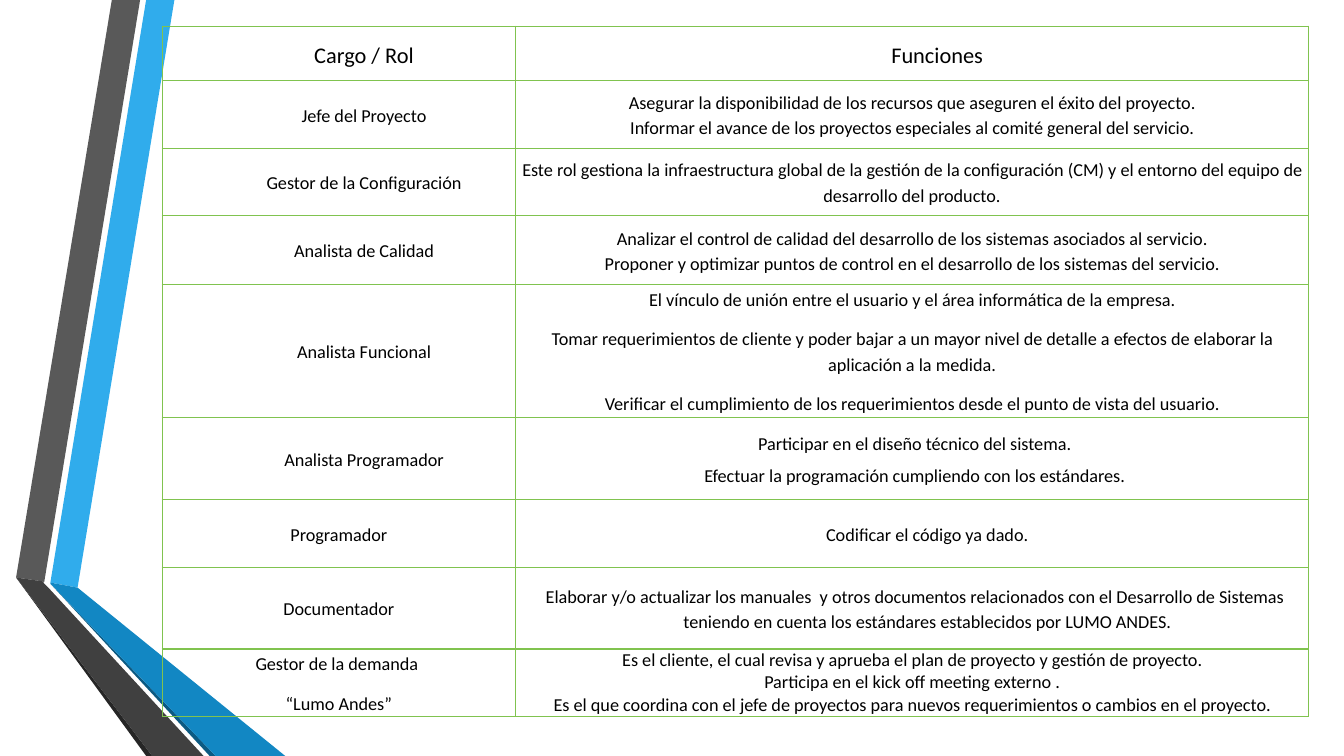
"""Build the slide that lists each project role with its functions."""
from lxml.etree import SubElement, fromstring
from pptx import Presentation
from pptx.dml.color import RGBColor
from pptx.enum.text import MSO_ANCHOR, PP_ALIGN
from pptx.oxml.ns import nsdecls
from pptx.util import Inches, Pt

BORDER = "80C34F"
TEXT = "000000"
RIBBONS = [
    ("30ACEC", [(0.5, 5.78), (0.77, 5.83), (1.73, 0), (1.45, 0)]),
    ("595959", [(1.39, 0), (1.11, 0), (0.16, 5.73), (0.44, 5.77)]),
    ("262626", [(0.16, 5.73), (1.45, 7.5), (1.51, 7.5)]),
    ("0C5A82", [(0.5, 5.79), (2.08, 7.5), (2.14, 7.5)]),
    ("1287C3", [(0.5, 5.79), (2.14, 7.5), (2.83, 7.5), (0.77, 5.83), (0.5, 5.78)]),
    ("404040", [(2.02, 7.5), (0.48, 5.83), (0.43, 5.78), (0.44, 5.77), (0.16, 5.73), (1.51, 7.5)]),
]

TABLE_LEFT, TABLE_TOP = 1.61, 0.26
COLUMN_WIDTHS = [3.5, 7.87]

HEADING = dict(size=16, left=0.5, before=2.4, after=2.4)
ROLE = dict(left=0.5, before=2.4, after=2.4)
TIGHT = dict()
SPACED = dict(after=10)
LISTED = dict(left=0.3, hanging=-0.25, before=2.4, after=2.4)
DEEP = dict(LISTED, left=0.55)
SINGLE = dict(line=1.0)

ROWS = [
    (0.54, 0.02, (HEADING, ["Cargo / Rol"]), (HEADING, ["Funciones"])),
    (0.67, 0.02, (ROLE, ["Jefe del Proyecto"]), (TIGHT, [
        "Asegurar la disponibilidad de los recursos que aseguren el éxito del proyecto.",
        "Informar el avance de los proyectos especiales al comité general del servicio."])),
    (0.67, 0.02, (ROLE, ["Gestor de la Configuración"]), (SPACED, [
        "Este rol gestiona la infraestructura global de la gestión de la configuración (CM) "
        "y el entorno del equipo de desarrollo del producto."])),
    (0.68, 0.02, (ROLE, ["Analista de Calidad"]), (TIGHT, [
        "Analizar el control de calidad del desarrollo de los sistemas asociados al servicio.",
        "Proponer y optimizar puntos de control en el desarrollo de los sistemas del servicio."])),
    (1.32, 0.05, (ROLE, ["Analista Funcional"]), (SPACED, [
        "El vínculo de unión entre el usuario y el área informática de la empresa.",
        "Tomar requerimientos de cliente y poder bajar a un mayor nivel de detalle "
        "a efectos de elaborar la aplicación a la medida.",
        "Verificar el cumplimiento de los requerimientos desde el punto de vista del usuario."])),
    (0.82, 0.02, (ROLE, ["Analista Programador"]), (LISTED, [
        "Participar en el diseño técnico del sistema.",
        "Efectuar la programación cumpliendo con los estándares."])),
    (0.67, 0.02, (SPACED, ["Programador"]), (DEEP, ["Codificar el código ya dado."])),
    (0.81, 0.02, (SPACED, ["Documentador"]), (LISTED, [
        "Elaborar y/o actualizar los manuales  y otros documentos relacionados con el Desarrollo "
        "de Sistemas teniendo en cuenta los estándares establecidos por LUMO ANDES."])),
    (0.67, 0.02, (SPACED, ["Gestor de la demanda ", "“Lumo Andes”"]), (SINGLE, [
        "Es el cliente, el cual revisa y aprueba el plan de proyecto y gestión de proyecto.",
        "Participa en el kick off meeting externo .",
        "Es el que coordina con el jefe de proyectos para nuevos requerimientos "
        "o cambios en el proyecto."])),
]


def paint(color, value):
    color.rgb = RGBColor.from_string(value)


def add_ribbon(page, color, points):
    corners = [(Inches(x), Inches(y)) for x, y in points]
    builder = page.shapes.build_freeform(*corners[0], scale=1.0)
    builder.add_line_segments(corners[1:], close=True)
    ribbon = builder.convert_to_shape()
    ribbon.shadow.inherit = False
    ribbon.fill.solid()
    paint(ribbon.fill.fore_color, color)
    ribbon.line.fill.background()


def write(para, text, size=13, left=0, hanging=0, before=0, after=0, line=1.15):
    para.alignment = PP_ALIGN.CENTER
    para.line_spacing = line
    para.space_before, para.space_after = Pt(before), Pt(after)
    properties = para._p.get_or_add_pPr()
    properties.set("marL", str(Inches(left)))
    properties.set("indent", str(Inches(hanging)))
    span = para.add_run()
    span.text = text
    span.font.size, span.font.name = Pt(size), "Calibri"
    paint(span.font.color, TEXT)


def add_borders(cell):
    properties = cell._tc.get_or_add_tcPr()
    for position, side in enumerate("LRTB"):
        edge = fromstring(f'<a:ln{side} {nsdecls("a")} w="{Pt(1)}"><a:solidFill/></a:ln{side}>')
        SubElement(edge[0], edge[0].tag.replace("solidFill", "srgbClr"), val=BORDER)
        properties.insert(position, edge)


def fill_cell(cell, inset, style, lines):
    cell.vertical_anchor = MSO_ANCHOR.MIDDLE
    cell.margin_left = cell.margin_right = Inches(inset)
    cell.margin_top = cell.margin_bottom = 0
    cell.fill.background()
    add_borders(cell)
    box = cell.text_frame
    for index, text in enumerate(lines):
        write(box.add_paragraph() if index else box.paragraphs[0], text, **style)


def add_roles(page):
    heights = [row[0] for row in ROWS]
    table = page.shapes.add_table(
        len(ROWS), len(COLUMN_WIDTHS), Inches(TABLE_LEFT), Inches(TABLE_TOP),
        Inches(sum(COLUMN_WIDTHS)), Inches(sum(heights))).table
    table.first_row = table.horz_banding = False
    for column, width in zip(table.columns, COLUMN_WIDTHS):
        column.width = Inches(width)
    for row, (height, inset, *contents) in zip(table.rows, ROWS):
        row.height = Inches(height)
        for cell, (style, lines) in zip(row.cells, contents):
            fill_cell(cell, inset, style, lines)


def main():
    deck = Presentation()
    deck.slide_width, deck.slide_height = Inches(13.33), Inches(7.5)
    page = deck.slides.add_slide(deck.slide_layouts[6])
    for color, points in RIBBONS:
        add_ribbon(page, color, points)
    add_roles(page)
    deck.save("out.pptx")


if __name__ == "__main__":
    main()
